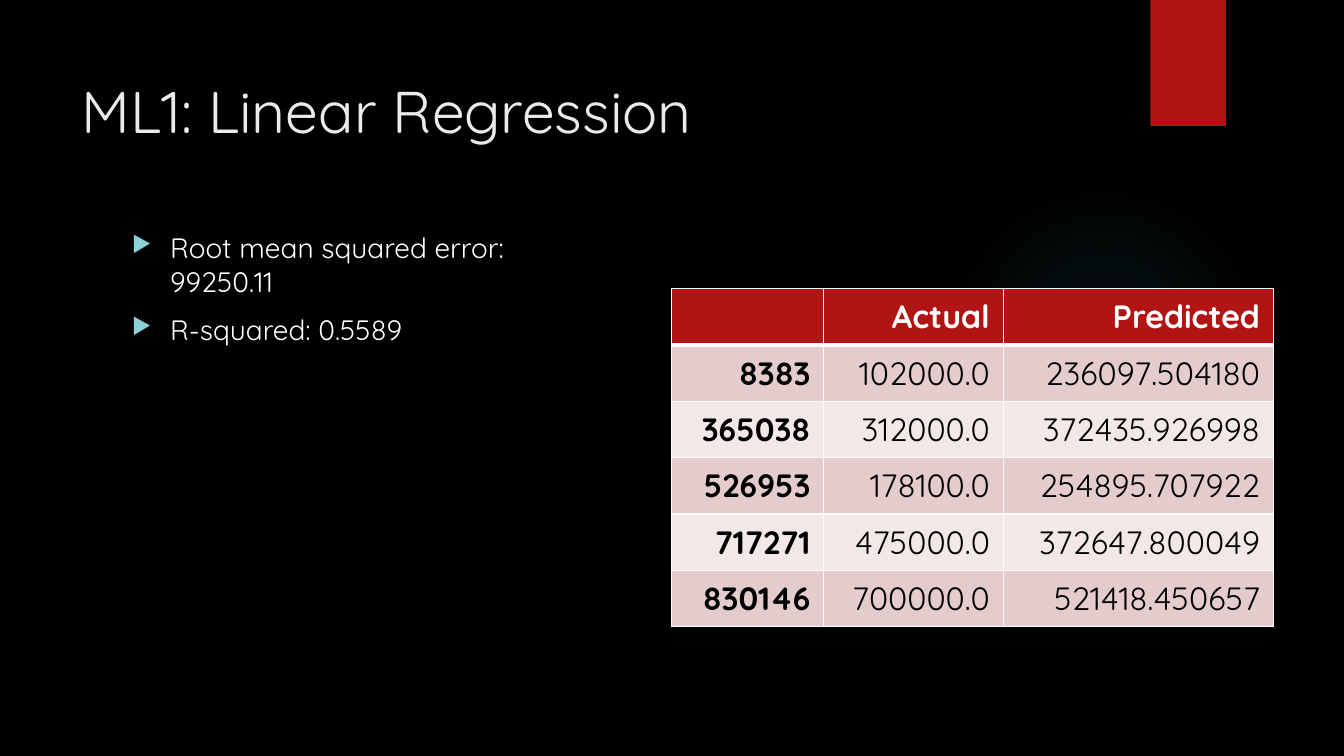
import pptx
import pptx.util
import pptx.dml.color
import pptx.enum.shapes
import pptx.enum.text
import pptx.oxml
import pptx.oxml.ns

Inches, Pt = pptx.util.Inches, pptx.util.Pt
qn = pptx.oxml.ns.qn

# Content
TITLE = "ML1: Linear Regression"
SCORES = ["Root mean squared error: 99250.11", "R-squared: 0.5589"]
ROWS = [
    ("", "Actual", "Predicted"),
    ("8383", "102000.0", "236097.504180"),
    ("365038", "312000.0", "372435.926998"),
    ("526953", "178100.0", "254895.707922"),
    ("717271", "475000.0", "372647.800049"),
    ("830146", "700000.0", "521418.450657"),
]

# Style
FONT = "Quicksand"
HUES = {"back": "000000", "red": "B01513", "title": "EBEBEB", "white": "FFFFFF",
        "black": "000000", "mark": "8AD0D6", "glow": "50B9C1",
        "odd": "E4CCCC", "even": "F2E8E7"}
GLOW = [(0, 7), (36, 6), (69, 0)]  # stop and opacity, in percent
COLS = [1.51, 1.78, 2.68]
HIGH = 0.56
NS = 'xmlns:a="http://schemas.openxmlformats.org/drawingml/2006/main"'


def tint(name):
    return pptx.dml.color.RGBColor.from_string(HUES[name])


def style(para, size, hue, bold=False):
    for run in para.runs:
        run.font.name = FONT
        run.font.size = Pt(size)
        run.font.bold = bold
        run.font.color.rgb = tint(hue)


def add_text(slide, box, lines, size, hue):
    frame = slide.shapes.add_textbox(*map(Inches, box)).text_frame
    frame.word_wrap = True
    frame.text = "\n".join(lines)
    for para in frame.paragraphs:
        style(para, size, hue)
    return frame


def add_mark(para):
    props = para._p.get_or_add_pPr()
    props.set("marL", str(Inches(0.38)))
    props.set("indent", str(-Inches(0.38)))
    for xml in (f'<a:buClr {NS}><a:srgbClr val="{HUES["mark"]}"/></a:buClr>',
                f'<a:buSzPct {NS} val="80000"/>',
                f'<a:buChar {NS} char="▶"/>'):
        props.append(pptx.oxml.parse_xml(xml))


def add_shape(slide, kind, box):
    shape = slide.shapes.add_shape(kind, *map(Inches, box))
    shape.shadow.inherit = False
    shape.line.fill.background()
    return shape


def add_edge(cell, side, width):
    cell._tc.get_or_add_tcPr().append(pptx.oxml.parse_xml(
        f'<a:ln{side} {NS} w="{Pt(width)}"><a:solidFill>'
        f'<a:srgbClr val="{HUES["white"]}"/></a:solidFill></a:ln{side}>'))


def fill_cell(cell, text, row, col):
    head = row == 0
    for side in "LRTB":
        add_edge(cell, side, 3 if head and side == "B" else 1)
    cell.fill.solid()
    cell.fill.fore_color.rgb = tint("red" if head else "odd" if row % 2 else "even")
    cell.vertical_anchor = pptx.enum.text.MSO_ANCHOR.MIDDLE
    cell.margin_left = cell.margin_right = Inches(0.13)
    cell.margin_top = cell.margin_bottom = Inches(0.06)
    cell.text_frame.text = text
    para = cell.text_frame.paragraphs[0]
    para.alignment = pptx.enum.text.PP_ALIGN.RIGHT
    style(para, 23, "white" if head else "black", head or col == 0)


def main():
    deck = pptx.Presentation()
    deck.slide_width, deck.slide_height = Inches(13.33), Inches(7.5)
    slide = deck.slides.add_slide(deck.slide_layouts[6])
    slide.background.fill.solid()
    slide.background.fill.fore_color.rgb = tint("back")
    kinds = pptx.enum.shapes.MSO_SHAPE

    # Soft glow
    glow = add_shape(slide, kinds.OVAL, (9.41, 1.83, 3.08, 3.08))
    glow.fill.background()
    stops = "".join(
        f'<a:gs pos="{pos * 1000}"><a:srgbClr val="{HUES["glow"]}">'
        f'<a:alpha val="{alpha * 1000}"/></a:srgbClr></a:gs>' for pos, alpha in GLOW)
    blank = glow._element.spPr.find(qn("a:noFill"))
    blank.getparent().replace(blank, pptx.oxml.parse_xml(
        f'<a:gradFill {NS}><a:gsLst>{stops}</a:gsLst><a:path path="circle">'
        '<a:fillToRect l="50000" t="50000" r="50000" b="50000"/></a:path></a:gradFill>'))

    # Red tab
    tab = add_shape(slide, kinds.RECTANGLE, (11.41, 0, 0.75, 1.25))
    tab.fill.solid()
    tab.fill.fore_color.rgb = tint("red")

    # Title and scores
    add_text(slide, (0.71, 0.69, 10.12, 1.34), [TITLE], 42, "title")
    scores = add_text(slide, (1.21, 2.24, 4.74, 4.59), SCORES, 20, "white")
    for para in scores.paragraphs:
        para.space_before = Pt(10)
        add_mark(para)

    # Table of results
    box = (6.66, 2.86, sum(COLS), HIGH * len(ROWS))
    table = slide.shapes.add_table(len(ROWS), len(COLS), *map(Inches, box)).table
    for col, width in enumerate(COLS):
        table.columns[col].width = Inches(width)
    for row, texts in enumerate(ROWS):
        table.rows[row].height = Inches(HIGH)
        for col, text in enumerate(texts):
            fill_cell(table.cell(row, col), text, row, col)

    deck.save("out.pptx")


if __name__ == "__main__":
    main()
